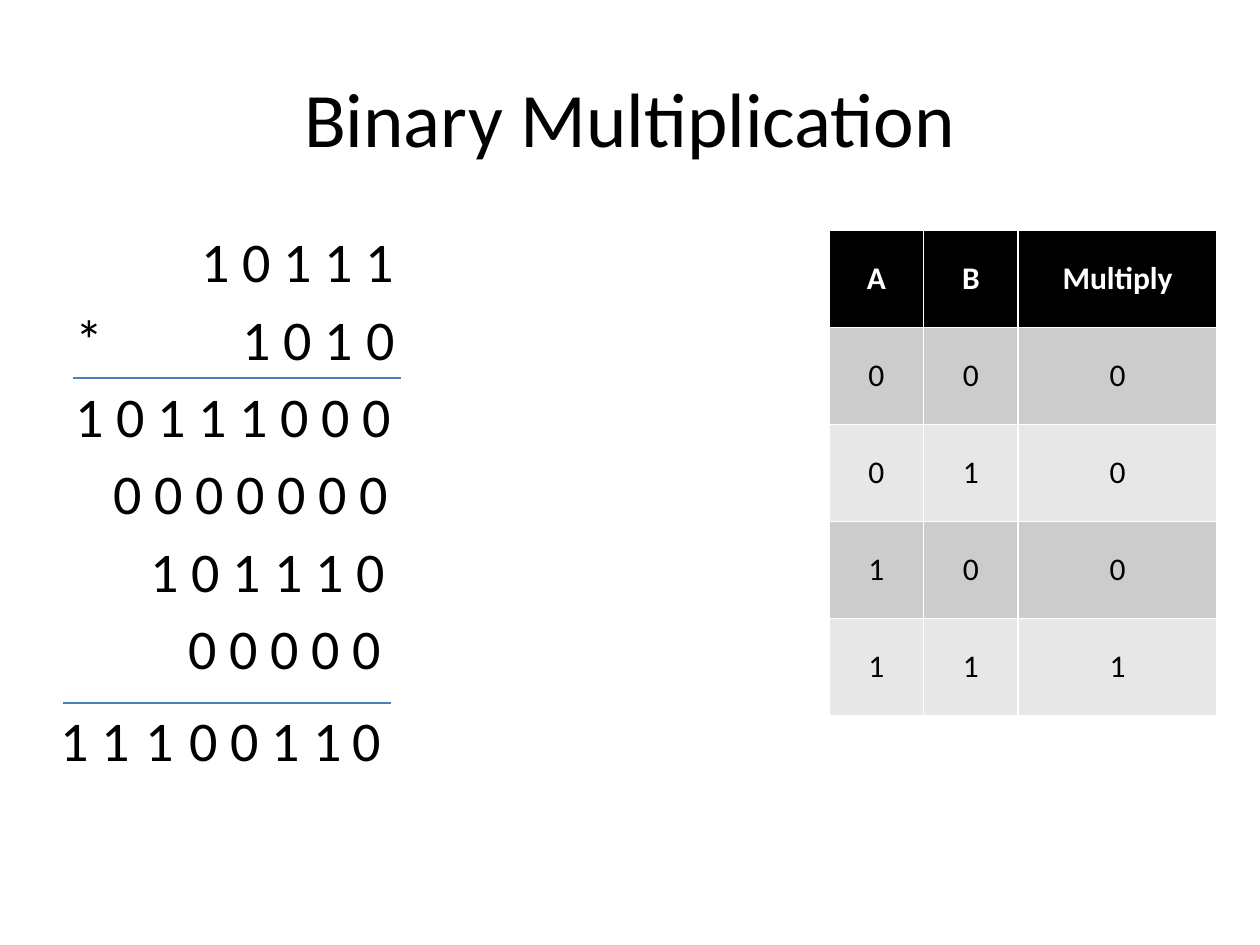
from lxml.etree import SubElement
from pptx import Presentation
from pptx.dml.color import RGBColor
from pptx.enum.shapes import MSO_CONNECTOR
from pptx.enum.text import MSO_ANCHOR, MSO_AUTO_SIZE, PP_ALIGN
from pptx.oxml.ns import qn
from pptx.util import Inches, Pt

BLACK = RGBColor(0, 0, 0)
WHITE = RGBColor(255, 255, 255)
BLUE = RGBColor(0x4B, 0x7E, 0xBC)
DARK = RGBColor(0xCC, 0xCC, 0xCC)
LIGHT = RGBColor(0xE7, 0xE7, 0xE7)
FONT = "Calibri"

STEPS = [
    ("1 0 1 1 1", 1),
    ("*\t1 0 1 0", 0),
    ("1 0 1 1 1 0 0 0", 0),
    ("0 0 0 0 0 0 0", 0.3),
    ("1 0 1 1 1 0", 0.6),
    ("0 0 0 0 0", 0.9),
]
TOTAL = "11100110"
LEFTS = [0.38, 0.71, 1.06, 1.41, 1.73, 2.06, 2.39, 2.7]
TRUTH = [("A", "B", "Multiply")] + [
    (str(a), str(b), str(a * b)) for a in (0, 1) for b in (0, 1)
]


def style(par, size, color=BLACK, bold=False):
    for run in par.runs:
        font = run.font
        font.name = FONT
        font.size = Pt(size)
        font.bold = bold
        font.color.rgb = color


def add_title(slide, text):
    title = slide.shapes.title
    title.left, title.top = Inches(0.5), Inches(0.3)
    title.width, title.height = Inches(9), Inches(1.25)
    frame = title.text_frame
    frame.text = text
    frame.vertical_anchor = MSO_ANCHOR.MIDDLE
    par = frame.paragraphs[0]
    par.alignment = PP_ALIGN.CENTER
    style(par, 44)


def set_tab(par, pos):
    tabs = SubElement(par._p.get_or_add_pPr(), qn("a:tabLst"))
    SubElement(tabs, qn("a:tab"), pos=str(Inches(pos)), algn="l")


def add_steps(slide):
    box = slide.shapes.add_textbox(Inches(0.5), Inches(1.75), Inches(9), Inches(4.95))
    frame = box.text_frame
    frame.word_wrap = True
    for i, (text, indent) in enumerate(STEPS):
        par = frame.paragraphs[0] if i == 0 else frame.add_paragraph()
        par.text = text
        par._p.get_or_add_pPr().set("marL", str(Inches(indent)))
        if i:
            par.space_before = Pt(5.8)
        if "\t" in text:
            set_tab(par, 1.33)
        style(par, 32)


def add_digit(slide, text, left):
    box = slide.shapes.add_textbox(Inches(left), Inches(5.55), Inches(0.53), Inches(0.64))
    frame = box.text_frame
    frame.word_wrap = False
    frame.auto_size = MSO_AUTO_SIZE.SHAPE_TO_FIT_TEXT
    frame.text = text
    style(frame.paragraphs[0], 32)
    return box


def add_rule(slide, left, top):
    rule = slide.shapes.add_connector(
        MSO_CONNECTOR.STRAIGHT, Inches(left), Inches(top), Inches(left + 2.6), Inches(top)
    )
    rule.line.color.rgb = BLUE
    rule.line.width = Pt(0.75)
    SubElement(rule._element.spPr, qn("a:effectLst"))


def add_truth(slide):
    table = slide.shapes.add_table(
        5, 3, Inches(6.58), Inches(1.83), Inches(3.08), Inches(3.85)
    ).table
    for col, width in zip(table.columns, (0.75, 0.75, 1.58)):
        col.width = Inches(width)
    for r, row in enumerate(TRUTH):
        fill = BLACK if r == 0 else DARK if r % 2 else LIGHT
        for c, text in enumerate(row):
            cell = table.cell(r, c)
            cell.fill.solid()
            cell.fill.fore_color.rgb = fill
            cell.vertical_anchor = MSO_ANCHOR.MIDDLE
            cell.text_frame.text = text
            par = cell.text_frame.paragraphs[0]
            par.alignment = PP_ALIGN.CENTER
            style(par, 18, BLACK if r else WHITE, r == 0)


def main():
    deck = Presentation()
    deck.slide_width, deck.slide_height = Inches(10), Inches(7.5)
    slide = deck.slides.add_slide(deck.slide_layouts[5])
    add_title(slide, "Binary Multiplication")
    add_steps(slide)
    add_truth(slide)
    add_rule(slide, 0.58, 3)
    add_rule(slide, 0.5, 5.58)
    for text, left in zip(TOTAL, LEFTS):
        box = add_digit(slide, text, left)
    box.width = Inches(0.43)
    deck.save("out.pptx")


if __name__ == "__main__":
    main()
